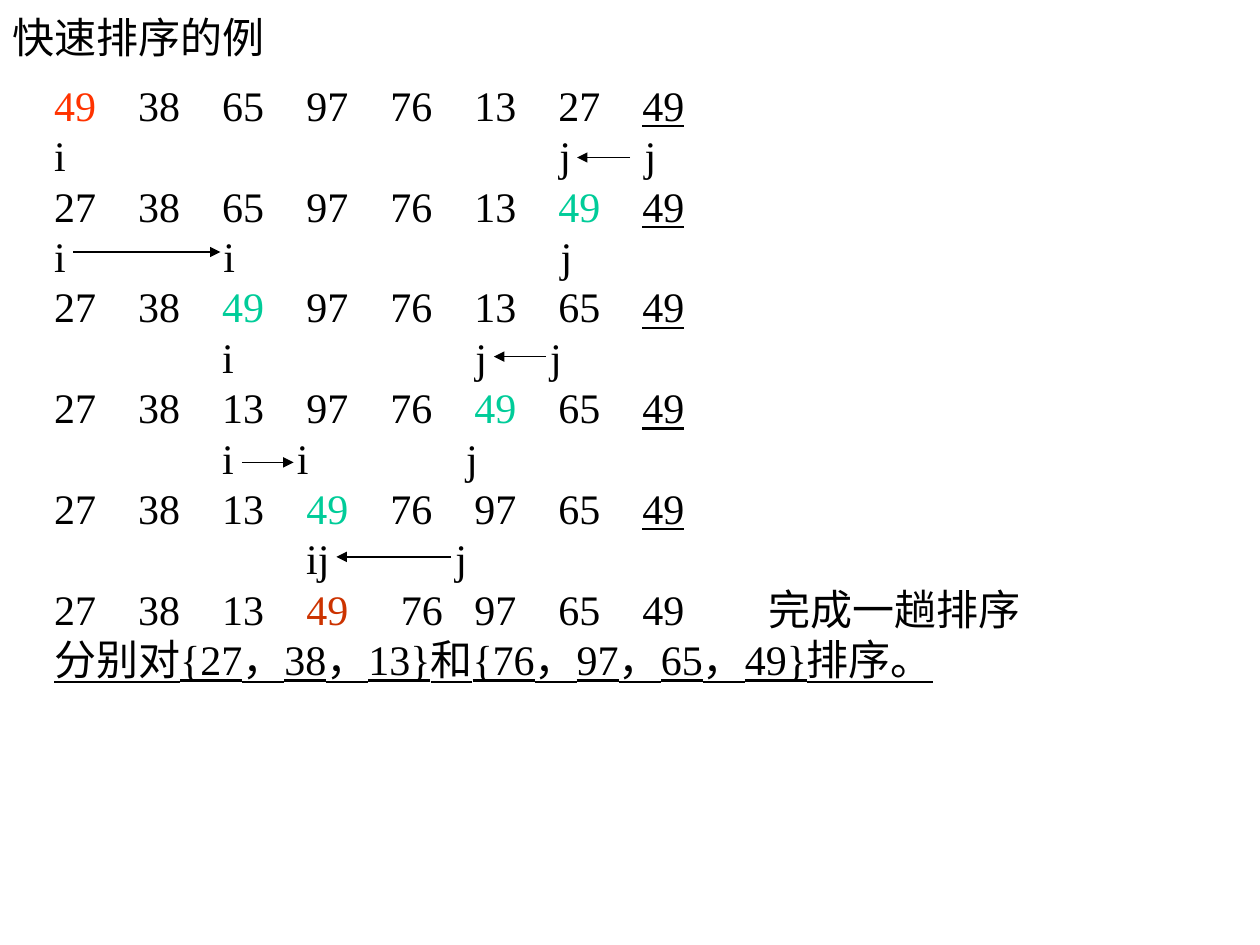
from dataclasses import dataclass

from lxml import etree
from pptx import Presentation
from pptx import util as u
from pptx.dml.color import RGBColor
from pptx.enum import shapes, text
from pptx.oxml.ns import qn


@dataclass(frozen=True)
class Theme:
    font: str = "Times New Roman"
    size: u.Pt = u.Pt(24)
    space_width: int = 6  # points, a quarter of the type size
    line_pitch: u.Pt = u.Pt(28.8)
    line_width: u.Pt = u.Pt(0.75)
    ink: RGBColor = RGBColor(0x00, 0x00, 0x00)
    pivot: RGBColor = RGBColor(0xFF, 0x33, 0x00)
    moved: RGBColor = RGBColor(0x00, 0xCC, 0x99)
    placed: RGBColor = RGBColor(0xCC, 0x33, 0x00)


@dataclass(frozen=True)
class Cell:
    text: str
    gap: int = 0  # distance from the cell before, in space widths
    color: RGBColor | None = None
    underline: bool = False


@dataclass(frozen=True)
class Arrow:
    start: float
    end: float
    y: float


THEME = Theme()
NUMBER_GAP = 4


def number_row(numbers: str, pivot: int, color: RGBColor) -> list[Cell]:
    """One state of the array: coloured pivot, underlined second 49."""
    values = numbers.split()
    last = len(values) - 1
    return [Cell(value, NUMBER_GAP if column else 0,
                 color if column == pivot else None, column == last)
            for column, value in enumerate(values)]


def index_row(names: str, *gaps: int) -> list[Cell]:
    """Index letters, each with the gap that precedes it."""
    return [Cell(name, gap) for name, gap in zip(names.split(), gaps)]


# Array states alternate with the positions of i and j
ROWS = [
    number_row("49 38 65 97 76 13 27 49", 0, THEME.pivot),
    index_row("i j j", 0, 47, 7),
    number_row("27 38 65 97 76 13 49 49", 6, THEME.moved),
    index_row("i i j", 0, 15, 31),
    number_row("27 38 49 97 76 13 65 49", 2, THEME.moved),
    index_row("i j j", 16, 23, 6),
    number_row("27 38 13 97 76 49 65 49", 5, THEME.moved),
    index_row("i i j", 16, 6, 15),
    number_row("27 38 13 49 76 97 65 49", 3, THEME.moved),
    index_row("ij j", 24, 12),
    [Cell("27"), Cell("38", 4), Cell("13", 4), Cell("49", 4, THEME.placed),
     Cell("76", 5), Cell("97", 3), Cell("65", 4), Cell("49", 4),
     Cell("完成一趟排序", 8)],
    [Cell("分别对{27，38，13}和{76，97，65，49}排序。", underline=True)],
]

ARROWS = [
    Arrow(5, 4.58, 1.25),
    Arrow(0.58, 1.75, 2),
    Arrow(4.33, 3.92, 2.83),
    Arrow(1.92, 2.33, 3.67),
    Arrow(3.58, 2.67, 4.42),
]


def place(shape, left: float, top: float, width: float, height: float, anchor) -> None:
    shape.left, shape.top = u.Inches(left), u.Inches(top)
    shape.width, shape.height = u.Inches(width), u.Inches(height)
    shape.text_frame.auto_size = text.MSO_AUTO_SIZE.NONE
    shape.text_frame.vertical_anchor = anchor
    shape.text_frame.word_wrap = True


def format_paragraph(paragraph) -> None:
    paragraph.alignment = text.PP_ALIGN.LEFT
    paragraph.font.name = THEME.font
    paragraph.font.size = THEME.size
    paragraph.font.color.rgb = THEME.ink


def set_indent(paragraph, spaces: int) -> None:
    """Remove the bullet and start the line after the given space widths."""
    properties = paragraph._p.get_or_add_pPr()
    properties.set("marL", str(u.Pt(spaces * THEME.space_width)))
    properties.set("indent", "0")
    etree.SubElement(properties, qn("a:buNone"))


def add_gap(paragraph, spaces: int) -> None:
    """One space, widened by character spacing (hundredths of a point)."""
    run = paragraph.add_run()
    run.text = " "
    run._r.get_or_add_rPr().set("spc", str((spaces - 1) * THEME.space_width * 100))


def write_row(paragraph, cells: list[Cell]) -> None:
    paragraph.line_spacing = THEME.line_pitch
    paragraph.space_before = paragraph.space_after = u.Pt(0)
    set_indent(paragraph, cells[0].gap)
    format_paragraph(paragraph)
    for number, cell in enumerate(cells):
        if number:
            add_gap(paragraph, cell.gap)
        run = paragraph.add_run()
        run.text = cell.text
        if cell.color is not None:
            run.font.color.rgb = cell.color
        if cell.underline:
            run.font.underline = True


def draw_arrow(slide, arrow: Arrow) -> None:
    connector = slide.shapes.add_connector(
        shapes.MSO_CONNECTOR.STRAIGHT, u.Inches(arrow.start), u.Inches(arrow.y),
        u.Inches(arrow.end), u.Inches(arrow.y))
    connector.line.color.rgb = THEME.ink
    connector.line.width = THEME.line_width
    etree.SubElement(connector.line._get_or_add_ln(), qn("a:tailEnd"), type="triangle")
    etree.SubElement(connector._element.spPr, qn("a:effectLst"))


def main() -> None:
    presentation = Presentation()
    presentation.slide_width, presentation.slide_height = u.Inches(10), u.Inches(7.5)
    slide = presentation.slides.add_slide(presentation.slide_layouts[1])

    # Title
    title = slide.shapes.title
    place(title, 0, 0, 8.5, 0.58, text.MSO_ANCHOR.MIDDLE)
    title.text_frame.text = "快速排序的例"
    format_paragraph(title.text_frame.paragraphs[0])

    # Sorting steps
    body = slide.placeholders[1]
    place(body, 0.33, 0.58, 9.25, 6.5, text.MSO_ANCHOR.TOP)
    frame = body.text_frame
    for number, cells in enumerate(ROWS):
        write_row(frame.add_paragraph() if number else frame.paragraphs[0], cells)

    # Index movements
    for arrow in ARROWS:
        draw_arrow(slide, arrow)

    presentation.save("out.pptx")


if __name__ == "__main__":
    main()
